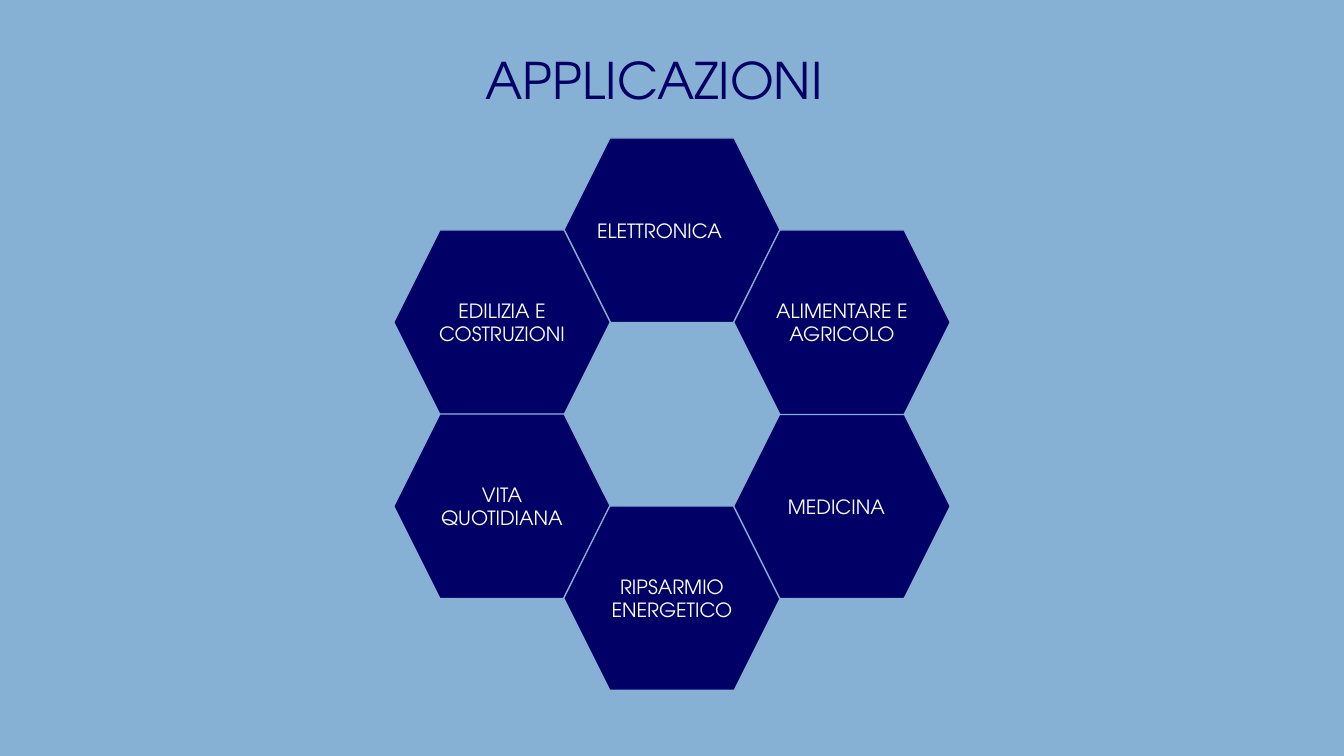
from dataclasses import dataclass

from pptx import Presentation
from pptx.dml.color import RGBColor
from pptx.enum.shapes import MSO_SHAPE
from pptx.enum.text import MSO_ANCHOR, MSO_AUTO_SIZE, PP_ALIGN
from pptx.util import Pt

TITLE = "APPLICAZIONI"
# text, column, half-row (both counted from the ring's centre), alignment, right inset
APPLICATIONS = [
    ("ELETTRONICA", 0, -2, PP_ALIGN.LEFT, 0),
    ("EDILIZIA E COSTRUZIONI", -1, -1, PP_ALIGN.CENTER, 0),
    ("VITA QUOTIDIANA", -1, 1, PP_ALIGN.CENTER, 0),
    ("RIPSARMIO ENERGETICO", 0, 2, PP_ALIGN.CENTER, 0),
    ("MEDICINA", 1, 1, PP_ALIGN.CENTER, 7.8),
    ("ALIMENTARE E AGRICOLO", 1, -1, PP_ALIGN.CENTER, 0),
]


@dataclass(frozen=True)
class Theme:
    font: str = "TeX Gyre Adventor"
    title_size: int = 36
    label_size: int = 14
    sky: RGBColor = RGBColor(0x86, 0xB1, 0xD4)
    navy: RGBColor = RGBColor(0x01, 0x00, 0x66)
    white: RGBColor = RGBColor(0xFF, 0xFF, 0xFF)


THEME = Theme()
SLIDE_WIDTH, SLIDE_HEIGHT = 960, 540
HEXAGON_WIDTH, HEXAGON_HEIGHT = 154.8, 131.8
RING_X, RING_Y = SLIDE_WIDTH / 2, 295.9
COLUMN_STEP, HALF_ROW_STEP = 121.4, 65.7


def add_filled_shape(slide, kind, left, top, width, height, fill):
    shape = slide.shapes.add_shape(kind, Pt(left), Pt(top), Pt(width), Pt(height))
    shape.shadow.inherit = False
    shape.fill.solid()
    shape.fill.fore_color.rgb = fill
    shape.line.color.rgb = THEME.sky
    shape.line.width = Pt(1)
    return shape


def write(frame, text, size, color, alignment):
    frame.word_wrap = True
    paragraph = frame.paragraphs[0]
    paragraph.text = text
    paragraph.alignment = alignment
    paragraph.font.name = THEME.font
    paragraph.font.size = Pt(size)
    paragraph.font.color.rgb = color


def add_title(slide):
    box = slide.shapes.add_textbox(Pt(339.8), Pt(31.7), Pt(280.8), Pt(51.1))
    write(box.text_frame, TITLE, THEME.title_size, THEME.navy, PP_ALIGN.LEFT)
    box.text_frame.auto_size = MSO_AUTO_SIZE.SHAPE_TO_FIT_TEXT


def add_application(slide, text, column, half_row, alignment, right_inset):
    left = RING_X + column * COLUMN_STEP - HEXAGON_WIDTH / 2
    top = RING_Y + half_row * HALF_ROW_STEP - HEXAGON_HEIGHT / 2
    hexagon = add_filled_shape(slide, MSO_SHAPE.HEXAGON, left, top,
                               HEXAGON_WIDTH, HEXAGON_HEIGHT, THEME.navy)
    frame = hexagon.text_frame
    frame.margin_left, frame.margin_right = Pt(0), Pt(right_inset)
    frame.margin_top = frame.margin_bottom = Pt(3.6)
    frame.vertical_anchor = MSO_ANCHOR.MIDDLE
    write(frame, text, THEME.label_size, THEME.white, alignment)


def main():
    presentation = Presentation()
    presentation.slide_width, presentation.slide_height = Pt(SLIDE_WIDTH), Pt(SLIDE_HEIGHT)
    slide = presentation.slides.add_slide(presentation.slide_layouts[6])
    add_filled_shape(slide, MSO_SHAPE.RECTANGLE, 0, 0, SLIDE_WIDTH, SLIDE_HEIGHT, THEME.sky)
    add_title(slide)
    for application in APPLICATIONS:
        add_application(slide, *application)
    presentation.save("out.pptx")


if __name__ == "__main__":
    main()
